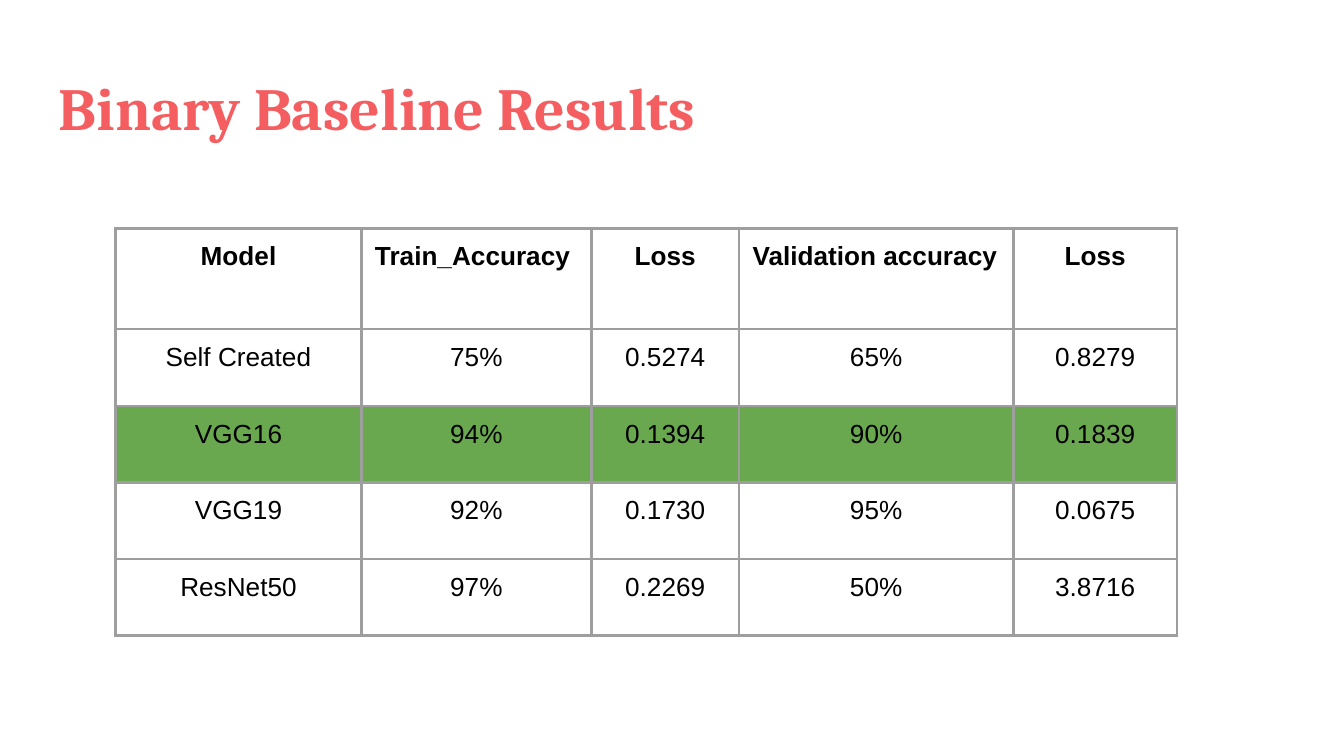
from dataclasses import dataclass

from lxml.etree import SubElement
from pptx import Presentation
from pptx.dml.color import RGBColor
from pptx.enum.text import PP_ALIGN
from pptx.oxml.ns import qn
from pptx.util import Inches, Pt


@dataclass(frozen=True)
class Theme:
    title: str = "F55E61"
    ink: str = "000000"
    line: str = "9E9E9E"
    best: str = "6AA84F"
    head_font: str = "Cambria"
    body_font: str = "Arial"
    head_size: int = 32
    body_size: int = 14
    rule: float = 1.5
    inset: float = 0.1


@dataclass(frozen=True)
class Column:
    name: str
    width: float
    align: PP_ALIGN = PP_ALIGN.CENTER


@dataclass(frozen=True)
class Result:
    model: str
    train: str
    train_loss: str
    valid: str
    valid_loss: str
    best: bool = False

    def texts(self) -> list[str]:
        return [self.model, self.train, self.train_loss, self.valid, self.valid_loss]


THEME = Theme()
WIDTH = 10
HEIGHT = WIDTH * 9 / 16
HEAD_ROW, BODY_ROW = 0.75, 0.57
COLUMNS = [
    Column("Model", 1.83),
    Column("Train_Accuracy", 1.71, PP_ALIGN.LEFT),
    Column("Loss", 1.1),
    Column("Validation accuracy", 2.04, PP_ALIGN.LEFT),
    Column("Loss", 1.22),
]
RESULTS = [
    Result("Self Created", "75%", "0.5274", "65%", "0.8279"),
    Result("VGG16", "94%", "0.1394", "90%", "0.1839", best=True),
    Result("VGG19", "92%", "0.1730", "95%", "0.0675"),
    Result("ResNet50", "97%", "0.2269", "50%", "3.8716"),
]


def write(frame, text: str, font: str, size: int, color: str, bold: bool, align: PP_ALIGN) -> None:
    frame.text = text
    par = frame.paragraphs[0]
    par.alignment = align
    face = par.runs[0].font
    face.name, face.size, face.bold = font, Pt(size), bold
    face.color.rgb = RGBColor.from_string(color)


def inset(box) -> None:
    """Give a cell or text frame the same margin on all sides."""
    for side in ("left", "top", "right", "bottom"):
        setattr(box, f"margin_{side}", Inches(THEME.inset))


def border(cell) -> None:
    props = cell._tc.get_or_add_tcPr()
    for side in "LRTB":
        line = SubElement(props, qn(f"a:ln{side}"), w=str(Pt(THEME.rule)))
        fill = SubElement(line, qn("a:solidFill"))
        SubElement(fill, qn("a:srgbClr"), val=THEME.line)


def fill_row(cells, texts: list[str], aligns: list[PP_ALIGN], bold: bool = False, best: bool = False) -> None:
    for cell, text, align in zip(cells, texts, aligns):
        inset(cell)
        border(cell)
        if best:
            cell.fill.solid()
            cell.fill.fore_color.rgb = RGBColor.from_string(THEME.best)
        else:
            cell.fill.background()
        write(cell.text_frame, text, THEME.body_font, THEME.body_size, THEME.ink, bold, align)


def add_title(slide, text: str) -> None:
    left = 0.034 * WIDTH
    box = slide.shapes.add_textbox(
        Inches(left), Inches(0.43), Inches(WIDTH - 2 * left), Inches(0.68)
    )
    box.text_frame.word_wrap = True
    inset(box.text_frame)
    write(box.text_frame, text, THEME.head_font, THEME.head_size, THEME.title, True, PP_ALIGN.LEFT)


def add_results(slide) -> None:
    heights = [HEAD_ROW] + [BODY_ROW] * len(RESULTS)
    wide = sum(col.width for col in COLUMNS)
    table = slide.shapes.add_table(
        len(heights), len(COLUMNS),
        Inches(0.86), Inches(1.7), Inches(wide), Inches(sum(heights)),
    ).table
    table.first_row = table.horz_banding = False
    for grid, col in zip(table.columns, COLUMNS):
        grid.width = Inches(col.width)
    for row, high in zip(table.rows, heights):
        row.height = Inches(high)

    head, *body = table.rows
    fill_row(head.cells, [col.name for col in COLUMNS], [col.align for col in COLUMNS], bold=True)
    for row, result in zip(body, RESULTS):
        fill_row(row.cells, result.texts(), [PP_ALIGN.CENTER] * len(COLUMNS), best=result.best)


def main() -> None:
    deck = Presentation()
    deck.slide_width, deck.slide_height = Inches(WIDTH), Inches(HEIGHT)
    slide = deck.slides.add_slide(deck.slide_layouts[6])
    add_results(slide)
    add_title(slide, "Binary Baseline Results")
    deck.save("out.pptx")


if __name__ == "__main__":
    main()
